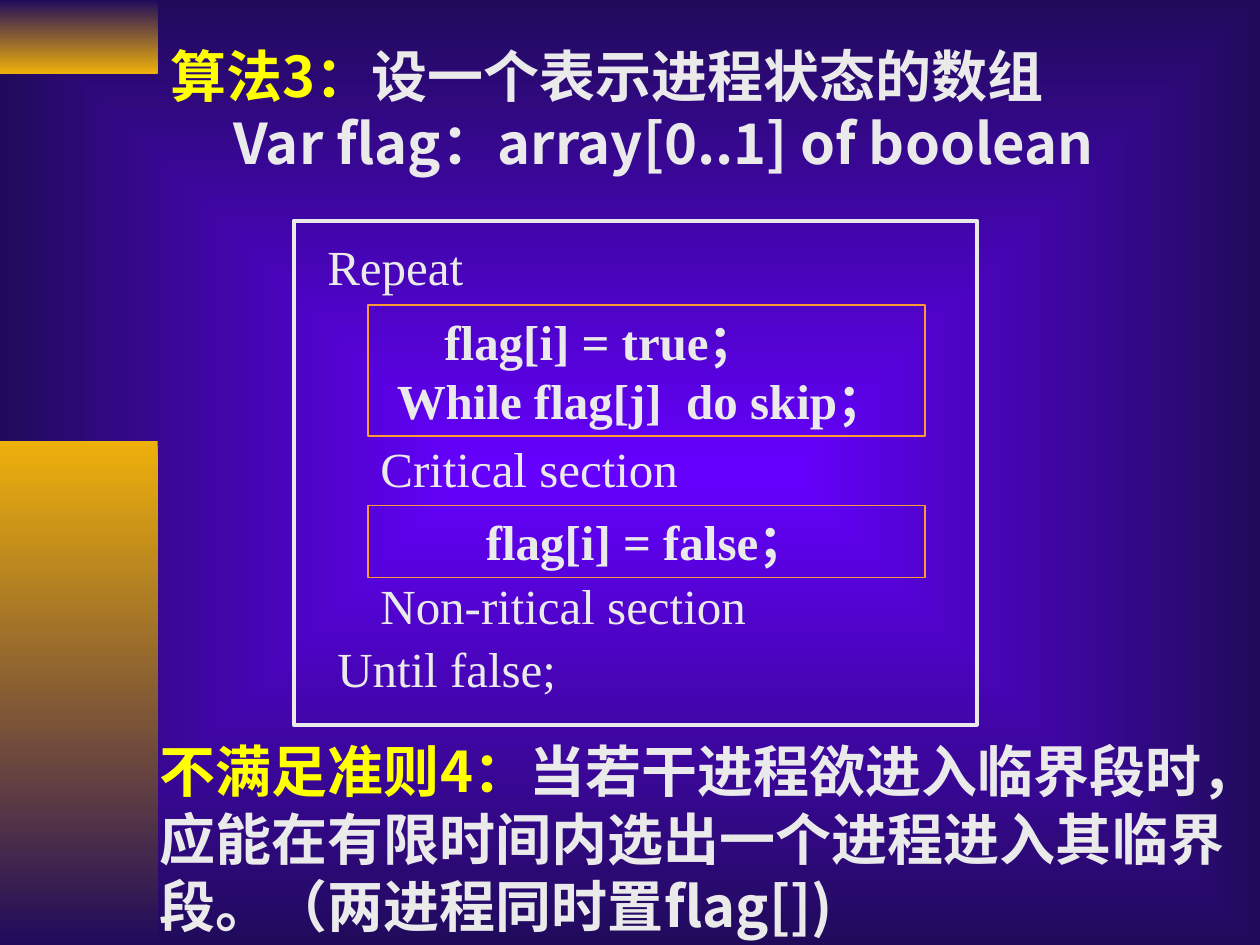
from lxml import etree
from pptx import Presentation
from pptx.dml.color import RGBColor
from pptx.enum.shapes import MSO_SHAPE
from pptx.enum.text import MSO_ANCHOR, MSO_AUTO_SIZE, PP_ALIGN
from pptx.oxml.ns import qn
from pptx.util import Cm, Pt

RECT = MSO_SHAPE.RECTANGLE
LEFT, CENTER = PP_ALIGN.LEFT, PP_ALIGN.CENTER
SANS, SERIF = "Noto Sans CJK SC", "Times New Roman"
NAVY, VIOLET, GOLD = "200B5B", "6600FF", "EEB00B"
YELLOW, PALE, ORANGE = "FFFF00", "EAEAEA", "FF9933"

HEADING = dict(name=SANS, size=Pt(32), bold=True)
CODE = dict(name=SERIF, size=Pt(28), bold=False)
CODE_BOLD = dict(CODE, bold=True)

# Positions are left, top, width, height in cm
BARS = [  # position, top colour, bottom colour
    ((0, 0, 3.18, 1.48), NAVY, GOLD),
    ((0, 8.89, 3.18, 10.16), GOLD, NAVY),
]
# A paragraph is (left indent in cm, [(text, colour), ...])
TITLE_POS = (3.18, 0.71, 21.59, 4.32)
TITLE = [
    (0, [("算法3：", YELLOW), ("设一个表示进程状态的数组", PALE)]),
    (1.27, [("Var flag：array[0..1] of boolean", PALE)]),
]
NOTE_POS = (2.97, 14.73, 22.43, 4.32)
NOTE = [(0, [("不满足准则4：", YELLOW),
             ("当若干进程欲进入临界段时，应能在有限时间内选出一个进程进入其临界段。"
              "（两进程同时置flag[])", PALE)])]
FRAME_POS = (5.92, 4.45, 13.77, 10.16)
STEPS = [  # position, text
    ((6.35, 4.65, 3.81, 1.45), "Repeat"),
    ((7.42, 8.71, 7.19, 1.45), "Critical section"),
    ((7.42, 11.48, 8.05, 1.45), "Non-ritical section"),
    ((6.55, 12.75, 5.28, 1.45), "Until false;"),
]
BOXES = [  # position, alignment, paragraphs
    ((7.42, 6.15, 11.23, 2.64), LEFT,
     [(1.29, [("flag[i] = true；", PALE)]),
      (0.33, [("While flag[j]  do skip；", PALE)])]),
    ((7.42, 10.19, 11.23, 1.45), CENTER, [(0, [("flag[i] = false；", PALE)])]),
]


def rgb(color):
    return RGBColor.from_string(color)


def cm(pos):
    return [Cm(v) for v in pos]


def set_gradient(fill, first, last):
    fill.gradient()
    for stop, color, at in zip(fill.gradient_stops, (first, last), (0, 1)):
        stop.color.rgb = rgb(color)
        stop.position = at


def write(sp, paragraphs, font, align=LEFT):
    tf = sp.text_frame
    for key, value in dict(word_wrap=True, auto_size=MSO_AUTO_SIZE.NONE,
                           vertical_anchor=MSO_ANCHOR.TOP).items():
        setattr(tf, key, value)
    for i, (indent, runs) in enumerate(paragraphs):
        p = tf.add_paragraph() if i else tf.paragraphs[0]
        p.alignment = align
        if indent:
            p._p.get_or_add_pPr().set("marL", str(Cm(indent)))
        for text, color in runs:
            r = p.add_run()
            r.text = text
            for key, value in font.items():
                setattr(r.font, key, value)
            r.font.color.rgb = rgb(color)
            latin = r._r.rPr.find(qn("a:latin"))
            latin.addnext(latin.makeelement(qn("a:ea"), {"typeface": SANS}))


def add_rect(slide, pos):
    sp = slide.shapes.add_shape(RECT, *cm(pos))
    sp.shadow.inherit = False
    return sp


def add_outline(slide, pos, color, width):
    sp = add_rect(slide, pos)
    sp.fill.background()
    sp.line.color.rgb = rgb(color)
    sp.line.width = Pt(width)
    return sp


def set_background(slide):
    """Fill the slide with a gradient spreading from its centre."""
    set_gradient(slide.background.fill, VIOLET, NAVY)
    grad = next(slide._element.iter(qn("a:gradFill")))
    for lin in grad.findall(qn("a:lin")):
        grad.remove(lin)
    spread = etree.SubElement(grad, qn("a:path"), {"path": "rect"})
    etree.SubElement(spread, qn("a:fillToRect"), dict.fromkeys("ltrb", "50000"))


def main():
    prs = Presentation()
    prs.slide_width, prs.slide_height = Cm(25.4), Cm(19.05)
    slide = prs.slides.add_slide(prs.slide_layouts[5])
    set_background(slide)

    for pos, top, bottom in BARS:
        sp = add_rect(slide, pos)
        set_gradient(sp.fill, top, bottom)
        sp.fill.gradient_angle = 270
        sp.line.fill.background()

    title = slide.shapes.title
    title.left, title.top, title.width, title.height = cm(TITLE_POS)
    write(title, TITLE, HEADING)

    add_outline(slide, FRAME_POS, PALE, 2.25)
    for pos, align, paragraphs in BOXES:
        write(add_outline(slide, pos, ORANGE, 0.75), paragraphs, CODE_BOLD, align)
    for pos, text in STEPS:
        write(slide.shapes.add_textbox(*cm(pos)), [(0, [(text, PALE)])], CODE)
    write(slide.shapes.add_textbox(*cm(NOTE_POS)), NOTE, HEADING)

    prs.save("out.pptx")


if __name__ == "__main__":
    main()
